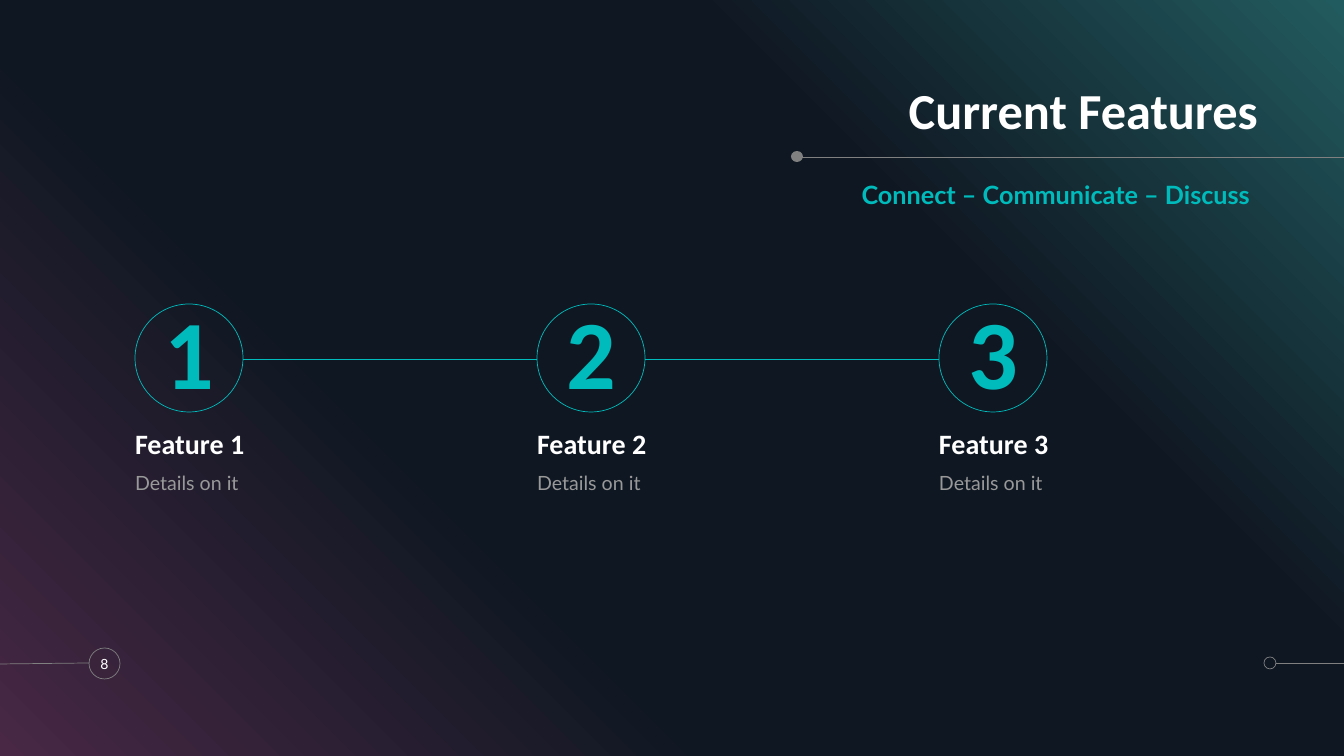
from lxml import etree
from pptx import Presentation
from pptx.dml.color import RGBColor
from pptx.enum.shapes import MSO_CONNECTOR, MSO_SHAPE
from pptx.enum.text import MSO_ANCHOR, MSO_AUTO_SIZE, PP_ALIGN
from pptx.oxml.ns import qn
from pptx.util import Emu, Pt

STRAIGHT = MSO_CONNECTOR.STRAIGHT
OVAL = MSO_SHAPE.OVAL
TOP, MIDDLE, BOTTOM = MSO_ANCHOR.TOP, MSO_ANCHOR.MIDDLE, MSO_ANCHOR.BOTTOM
LEFT, CENTER, RIGHT = PP_ALIGN.LEFT, PP_ALIGN.CENTER, PP_ALIGN.RIGHT
NO_FIT = MSO_AUTO_SIZE.NONE

EMU_PER_PX = 914400 / 100.8
COLORS = {
    "plum": "482845",
    "night": "0F1722",
    "pine": "225B5F",
    "teal": "00BBBB",
    "white": "FFFFFF",
    "gray": "808080",
    "silver": "999999",
}
BACKGROUND_STOPS = [(0, "plum"), (34, "night"), (69, "night"), (100, "pine")]
FEATURES = ["Feature 1", "Feature 2", "Feature 3"]
FIRST_LEFT, FEATURE_STEP = 135, 402
CIRCLE_TOP, CIRCLE_SIZE = 304, 108


def px(length):
    return Emu(round(length * EMU_PER_PX))


def rgb(name):
    return RGBColor.from_string(COLORS[name])


def paint_background(page):
    fill = page.background.fill
    fill.gradient()
    fill.gradient_angle = 45
    stops = page.element.find(".//" + qn("a:gsLst"))
    for stop in list(stops):
        stops.remove(stop)
    for percent, name in BACKGROUND_STOPS:
        stop = etree.SubElement(stops, qn("a:gs"), pos=str(percent * 1000))
        etree.SubElement(stop, qn("a:srgbClr"), val=COLORS[name])


def add_line(page, start, end, color):
    line = page.shapes.add_connector(STRAIGHT, *map(px, start + end))
    line.line.color.rgb = rgb(color)
    line.line.width = Pt(0.5)
    etree.SubElement(line._element.spPr, qn("a:effectLst"))


def add_circle(page, left, top, width, height, color, filled=False):
    circle = page.shapes.add_shape(OVAL, px(left), px(top), px(width), px(height))
    circle.shadow.inherit = False
    if filled:
        circle.fill.solid()
        circle.fill.fore_color.rgb = rgb(color)
        circle.line.fill.background()
    else:
        circle.fill.background()
        circle.line.color.rgb = rgb(color)
        circle.line.width = Pt(0.5)
    return circle


def place(box, left, top, width, height):
    box.left, box.top, box.width, box.height = map(px, (left, top, width, height))


def write(box, text, size, color, font="Lato", bold=False, align=LEFT,
          anchor=TOP, before=0, spacing=1.0):
    frame = box.text_frame
    frame.text = text
    frame.auto_size = NO_FIT
    frame.word_wrap = True
    frame.vertical_anchor = anchor
    frame.margin_left = frame.margin_right = 0
    frame.margin_top = frame.margin_bottom = 0
    para = frame.paragraphs[0]
    para.alignment = align
    para.space_before = Pt(before)
    para.line_spacing = spacing
    para.font.name = font
    para.font.size = Pt(size)
    para.font.bold = bold
    para.font.color.rgb = rgb(color)
    return para


def remove_bullet(para):
    properties = para._p.get_or_add_pPr()
    properties.set("marL", "0")
    properties.set("indent", "0")
    bullet = etree.Element(qn("a:buNone"))
    properties.find(qn("a:spcBef")).addnext(bullet)


def add_text(page, left, top, width, height, text, size, color, **style):
    box = page.shapes.add_textbox(px(left), px(top), px(width), px(height))
    write(box, text, size, color, **style)


def add_heading(page):
    title, subtitle = page.shapes.title, page.placeholders[1]
    place(title, 562, 78, 696, 62)
    write(title, "Current Features", 36, "white", font="Calibri", bold=True,
          align=RIGHT, anchor=BOTTOM, spacing=0.9)
    place(subtitle, 562, 179, 694, 62)
    para = write(subtitle, "Connect – Communicate – Discuss ", 18, "teal",
                 bold=True, align=RIGHT, before=10)
    remove_bullet(para)


def add_ornaments(page):
    # Rule under the title
    add_line(page, (1344, 157), (800, 157), "gray")
    add_circle(page, 791, 151, 12, 11, "gray", filled=True)
    # Lower right mark
    add_line(page, (1276, 663), (1344, 663), "gray")
    add_circle(page, 1264, 657, 12, 12, "gray")
    # Page number
    add_line(page, (0, 664), (89, 663), "gray")
    number = add_circle(page, 89, 648, 31, 31, "gray")
    write(number, "8", 10, "white", align=CENTER, anchor=MIDDLE)


def add_feature(page, index, name):
    left = FIRST_LEFT + index * FEATURE_STEP
    circle = add_circle(page, left, CIRCLE_TOP, CIRCLE_SIZE, CIRCLE_SIZE, "teal")
    write(circle, str(index + 1), 70, "teal", font="Calibri", bold=True,
          align=CENTER, anchor=MIDDLE, before=10, spacing=0.9)
    add_text(page, left, 425, 325, 36, name, 20, "white", font="Calibri",
             bold=True, anchor=BOTTOM, before=6, spacing=0.9)
    add_text(page, left, 471, 325, 156, "Details on it", 14, "silver", before=6)
    # Link to the next feature
    if index < len(FEATURES) - 1:
        add_line(page, (left + CIRCLE_SIZE, 359), (left + FEATURE_STEP, 359), "teal")


def main():
    deck = Presentation()
    deck.slide_width, deck.slide_height = px(1344), px(756)
    page = deck.slides.add_slide(deck.slide_layouts[1])
    paint_background(page)
    add_heading(page)
    add_ornaments(page)
    for index, name in enumerate(FEATURES):
        add_feature(page, index, name)
    deck.save("out.pptx")


if __name__ == "__main__":
    main()
